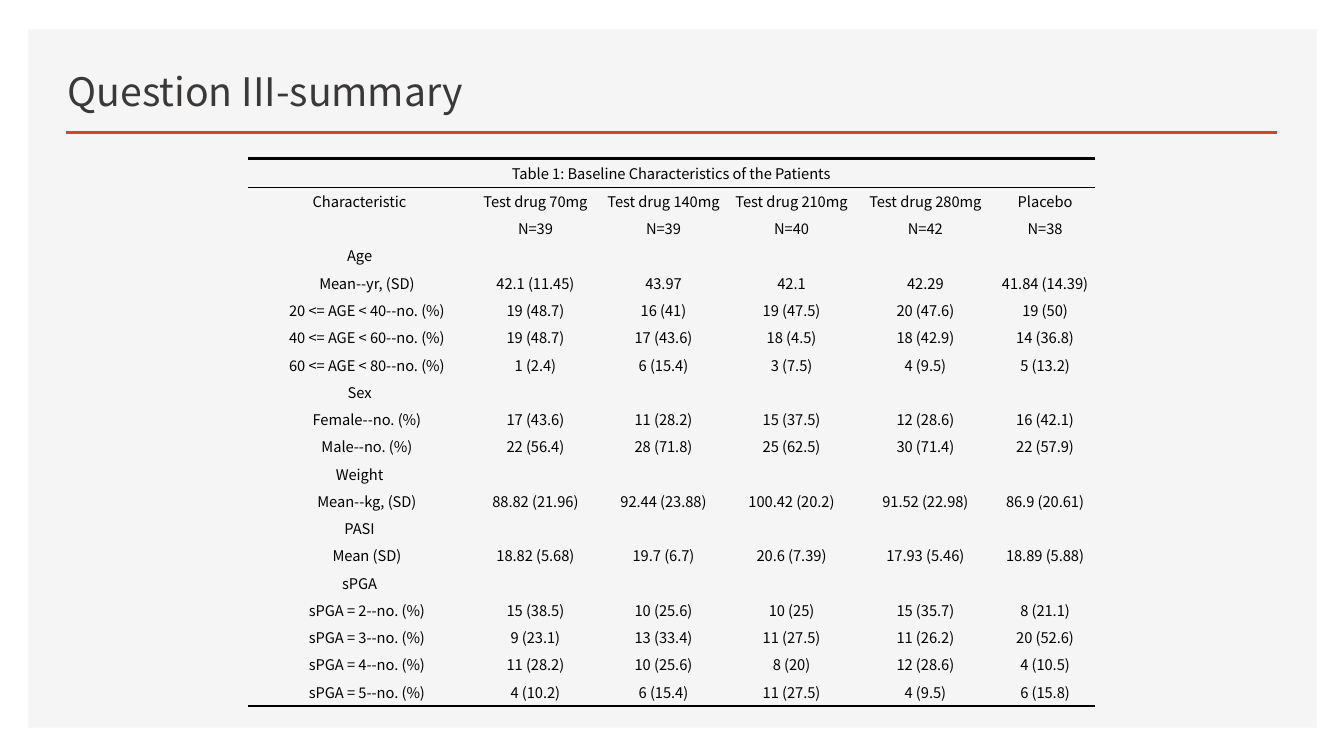
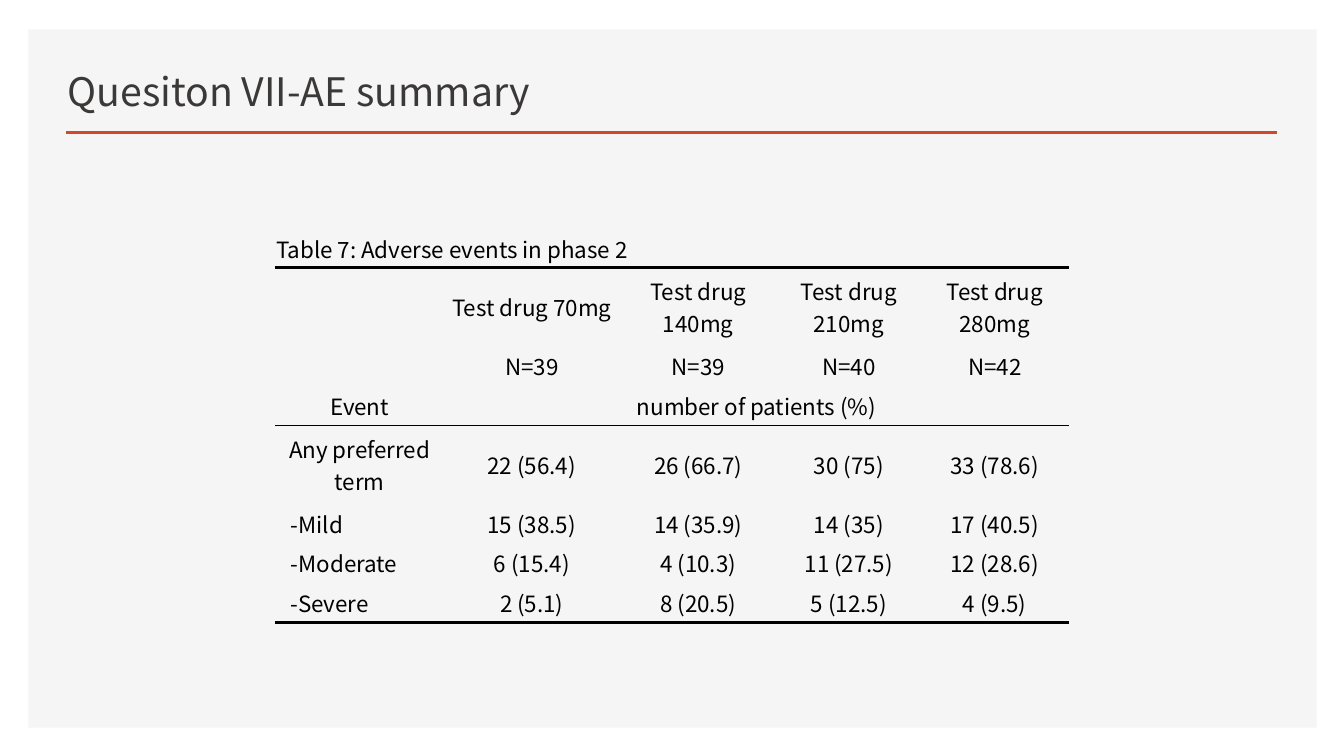
"""Builds two slides of clinical trial summary tables."""
from lxml.etree import SubElement
from pptx import Presentation
from pptx.dml.color import RGBColor
from pptx.enum.shapes import MSO_CONNECTOR, MSO_SHAPE
from pptx.enum.text import MSO_ANCHOR, PP_ALIGN
from pptx.oxml import parse_xml
from pptx.oxml.ns import nsdecls, qn
from pptx.util import Pt

PX = 9525
FONT = "Noto Sans CJK SC"
PANEL = RGBColor(0xF5, 0xF5, 0xF5)
ACCENT = RGBColor(0xD2, 0x47, 0x26)
HEADING = RGBColor(0x3B, 0x38, 0x38)
BLACK = RGBColor(0x00, 0x00, 0x00)
PLAIN_TABLE = "{2D5ABB26-0587-4C30-8999-92F81FD0307C}"

BASELINE = [
    ("Table 1: Baseline Characteristics of the Patients",),
    ("Characteristic", "Test drug 70mg", "Test drug 140mg", "Test drug 210mg",
     "Test drug 280mg", "Placebo"),
    ("", "N=39", "N=39", "N=40", "N=42", "N=38"),
    ("Age",),
    ("Mean--yr, (SD)", "42.1 (11.45)", "43.97", "42.1", "42.29", "41.84 (14.39)"),
    ("20 <= AGE < 40--no. (%)", "19 (48.7)", "16 (41)", "19 (47.5)", "20 (47.6)", "19 (50)"),
    ("40 <= AGE < 60--no. (%)", "19 (48.7)", "17 (43.6)", "18 (4.5)", "18 (42.9)", "14 (36.8)"),
    ("60 <= AGE < 80--no. (%)", "1 (2.4)", "6 (15.4)", "3 (7.5)", "4 (9.5)", "5 (13.2)"),
    ("Sex",),
    ("Female--no. (%)", "17 (43.6)", "11 (28.2)", "15 (37.5)", "12 (28.6)", "16 (42.1)"),
    ("Male--no. (%)", "22 (56.4)", "28 (71.8)", "25 (62.5)", "30 (71.4)", "22 (57.9)"),
    ("Weight",),
    ("Mean--kg, (SD)", "88.82 (21.96)", "92.44 (23.88)", "100.42 (20.2)",
     "91.52 (22.98)", "86.9 (20.61)"),
    ("PASI",),
    ("Mean (SD)", "18.82 (5.68)", "19.7 (6.7)", "20.6 (7.39)", "17.93 (5.46)", "18.89 (5.88)"),
    ("sPGA",),
    ("sPGA = 2--no. (%)", "15 (38.5)", "10 (25.6)", "10 (25)", "15 (35.7)", "8 (21.1)"),
    ("sPGA = 3--no. (%)", "9 (23.1)", "13 (33.4)", "11 (27.5)", "11 (26.2)", "20 (52.6)"),
    ("sPGA = 4--no. (%)", "11 (28.2)", "10 (25.6)", "8 (20)", "12 (28.6)", "4 (10.5)"),
    ("sPGA = 5--no. (%)", "4 (10.2)", "6 (15.4)", "11 (27.5)", "4 (9.5)", "6 (15.8)"),
]

ADVERSE_EVENTS = [
    ("Table 7: Adverse events in phase 2",),
    ("", "Test drug 70mg", "Test drug 140mg", "Test drug 210mg", "Test drug 280mg"),
    ("", "N=39", "N=39", "N=40", "N=42"),
    ("Event", "number of patients (%)"),
    ("Any preferred term", "22 (56.4)", "26 (66.7)", "30 (75)", "33 (78.6)"),
    ("-Mild", "15 (38.5)", "14 (35.9)", "14 (35)", "17 (40.5)"),
    ("-Moderate", "6 (15.4)", "4 (10.3)", "11 (27.5)", "12 (28.6)"),
    ("-Severe", "2 (5.1)", "8 (20.5)", "5 (12.5)", "4 (9.5)"),
]


class Deck:
    """Holds the shared style and the current slide."""

    def __init__(self):
        self.presentation = Presentation()
        self.presentation.slide_width = 1280 * PX
        self.presentation.slide_height = 720 * PX
        self.slide = None

    def add_slide(self, heading):
        """Starts a slide with its panel, accent rule and title."""
        self.slide = self.presentation.slides.add_slide(self.presentation.slide_layouts[5])
        title = self.slide.shapes.title
        title.element.addprevious(self.panel(27, 28, 1227, 665).element)
        title.element.addprevious(self.rule(63, 126, 1216).element)
        title.left, title.top, title.width, title.height = (n * PX for n in (55, 47, 722, 67))
        title.text_frame.text = heading
        title.text_frame.vertical_anchor = MSO_ANCHOR.BOTTOM
        title.text_frame.paragraphs[0].alignment = PP_ALIGN.LEFT
        self.format_runs(title.text_frame, 28, HEADING)

    def panel(self, left, top, width, height):
        """Adds a flat filled rectangle."""
        panel = self.slide.shapes.add_shape(
            MSO_SHAPE.RECTANGLE, left * PX, top * PX, width * PX, height * PX)
        panel.shadow.inherit = False
        panel.fill.solid()
        panel.fill.fore_color.rgb = PANEL
        panel.line.fill.background()
        return panel

    def rule(self, left, top, right):
        """Adds a horizontal accent line."""
        rule = self.slide.shapes.add_connector(
            MSO_CONNECTOR.STRAIGHT, left * PX, top * PX, right * PX, top * PX)
        rule.line.color.rgb = ACCENT
        rule.line.width = Pt(2)
        SubElement(rule.element.spPr, qn("a:effectLst"))
        return rule

    def format_runs(self, text_frame, size, color):
        """Sets the font of every run."""
        for paragraph in text_frame.paragraphs:
            for run in paragraph.runs:
                run.font.name = FONT
                run.font.size = Pt(size)
                run.font.color.rgb = color

    def table(self, left, top, widths, heights, rows, size):
        """Adds a plain centred table whose first row is its caption."""
        frame = self.slide.shapes.add_table(
            len(heights), len(widths), left * PX, top * PX, sum(widths) * PX, sum(heights) * PX)
        frame.element.xpath(".//a:tableStyleId")[0].text = PLAIN_TABLE
        table = frame.table
        table.first_row = table.horz_banding = False
        for column, width in zip(table.columns, widths):
            column.width = width * PX
        for row, height, texts in zip(table.rows, heights, rows):
            row.height = height * PX
            for index, cell in enumerate(row.cells):
                self.fill_cell(cell, texts[index] if index < len(texts) else "", size)
        table.cell(0, 0).merge(table.cell(0, len(widths) - 1))
        return table

    def fill_cell(self, cell, text, size):
        """Writes one centred cell with narrow margins."""
        cell.margin_left = cell.margin_right = cell.margin_top = PX
        cell.margin_bottom = 0
        cell.vertical_anchor = MSO_ANCHOR.MIDDLE
        cell.fill.background()
        cell.text_frame.text = text
        cell.text_frame.paragraphs[0].alignment = PP_ALIGN.CENTER
        self.format_runs(cell.text_frame, size, BLACK)
        if not text:
            paragraph = cell.text_frame.paragraphs[0]._p
            SubElement(paragraph, qn("a:endParaRPr"), sz=str(int(size * 100)))

    def border(self, table, row, side, width):
        """Draws a black line along one side of a table row."""
        for cell in table.rows[row].cells:
            cell._tc.get_or_add_tcPr().insert(0, parse_xml(
                f'<a:ln{side} {nsdecls("a")} w="{Pt(width)}"><a:solidFill>'
                f'<a:srgbClr val="{BLACK}"/></a:solidFill></a:ln{side}>'))

    def indent_label(self, table, row, indent, alignment=PP_ALIGN.CENTER):
        """Insets and aligns the label that opens a table row."""
        label = table.cell(row, 0)
        label.margin_left = (1 + indent) * PX
        label.text_frame.paragraphs[0].alignment = alignment


def main():
    """Builds and saves the slides."""
    deck = Deck()

    deck.add_slide("Question III-summary")
    baseline = deck.table(236, 151, [213, 122, 122, 122, 133, 95],
                          [27] + [26] * 18 + [27], BASELINE, 10.5)
    for row, texts in enumerate(BASELINE):
        if row > 3 and len(texts) > 1:
            deck.indent_label(baseline, row, 14)
    deck.border(baseline, 0, "B", 0.5)
    deck.border(baseline, 0, "T", 2)
    deck.border(baseline, len(BASELINE) - 1, "B", 2)

    deck.add_slide("Quesiton VII-AE summary")
    events = deck.table(262, 218, [161, 167, 150, 137, 141],
                        [37, 74, 38, 38, 74, 38, 38, 38], ADVERSE_EVENTS, 16)
    events.cell(3, 1).merge(events.cell(3, 4))
    deck.indent_label(events, 0, 0, PP_ALIGN.LEFT)
    for row, texts in enumerate(ADVERSE_EVENTS):
        if texts[0].startswith("-"):
            deck.indent_label(events, row, 14, PP_ALIGN.LEFT)
    for row, width in ((0, 2), (3, 1), (len(ADVERSE_EVENTS) - 1, 2)):
        deck.border(events, row, "B", width)

    deck.presentation.save("out.pptx")


if __name__ == "__main__":
    main()
